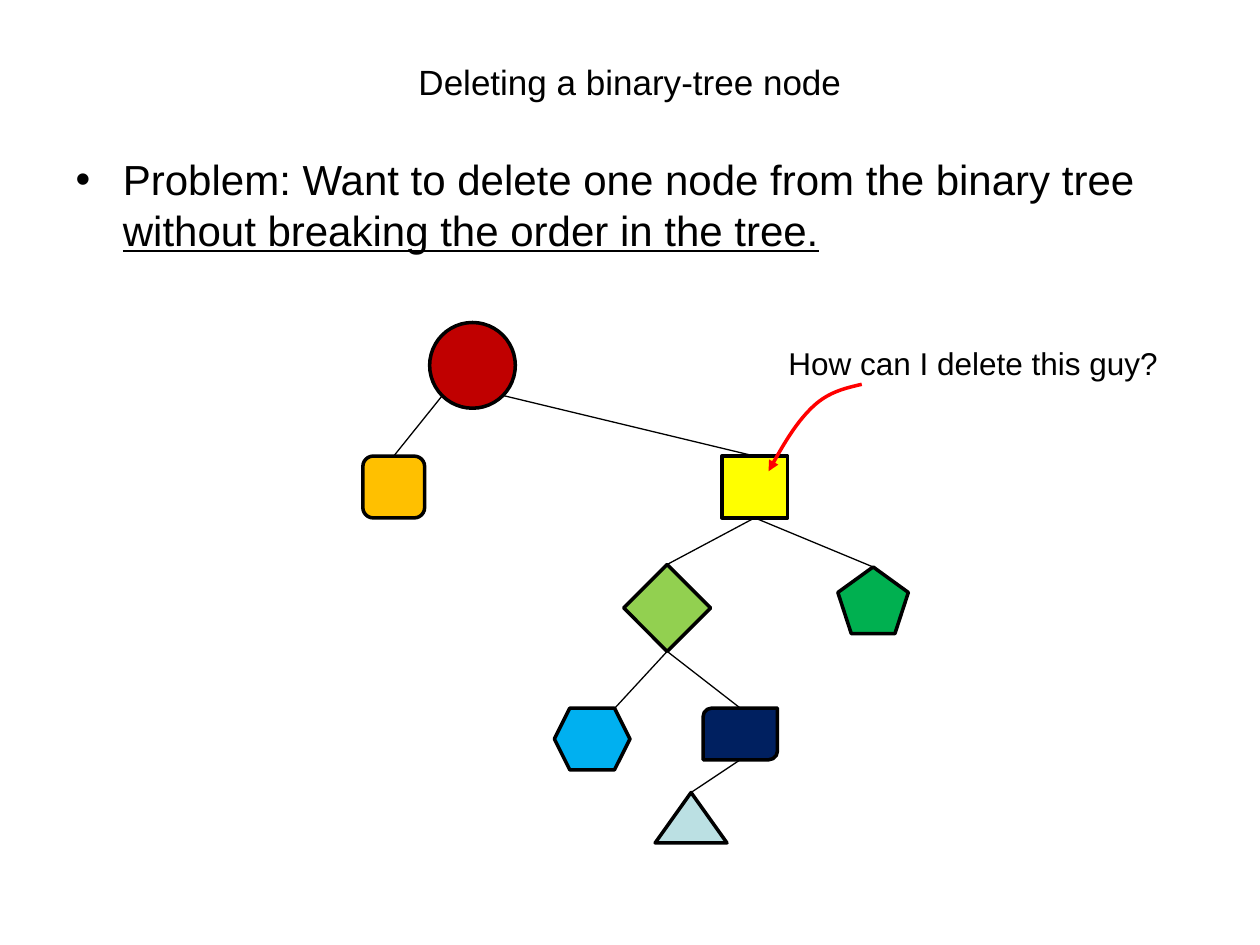
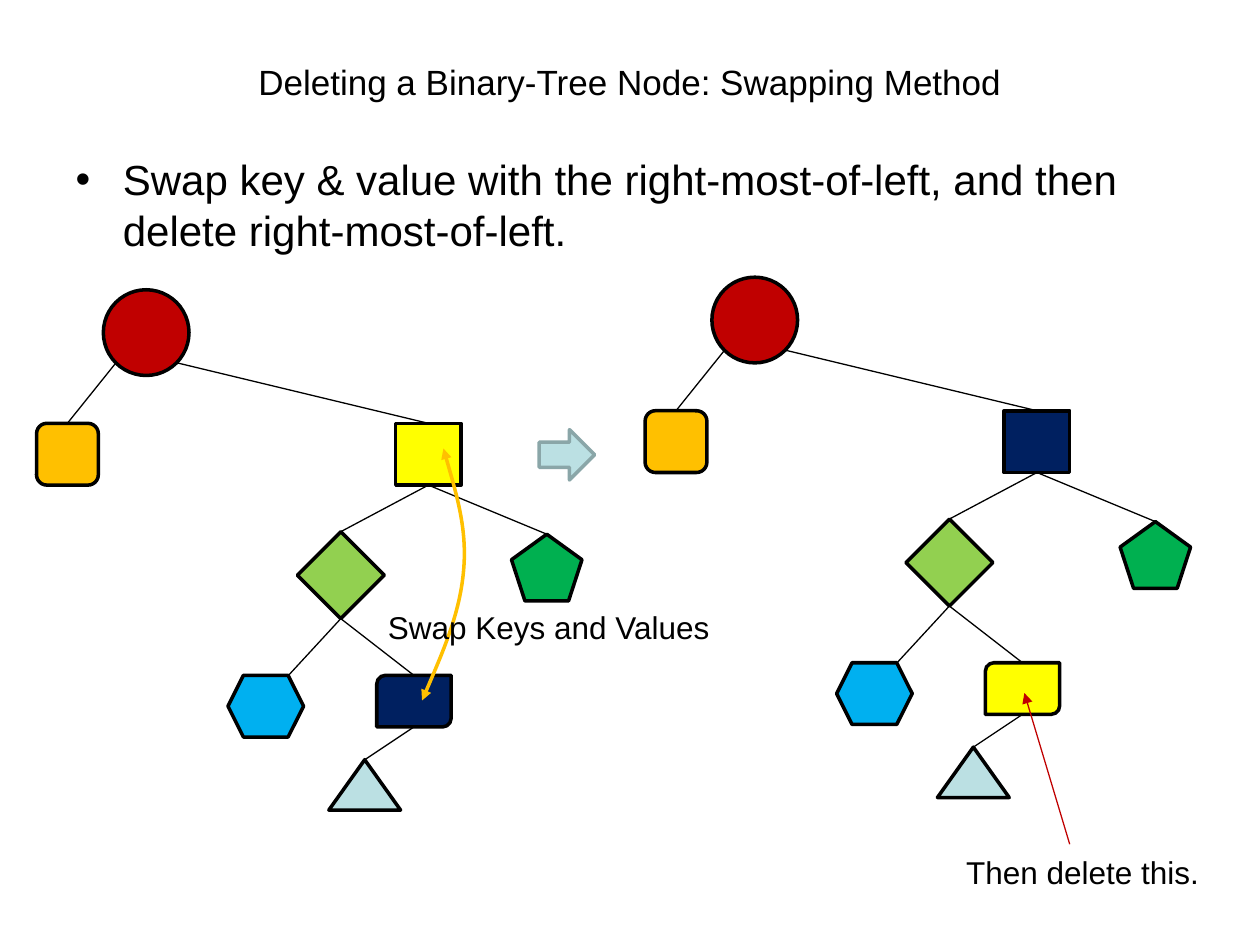
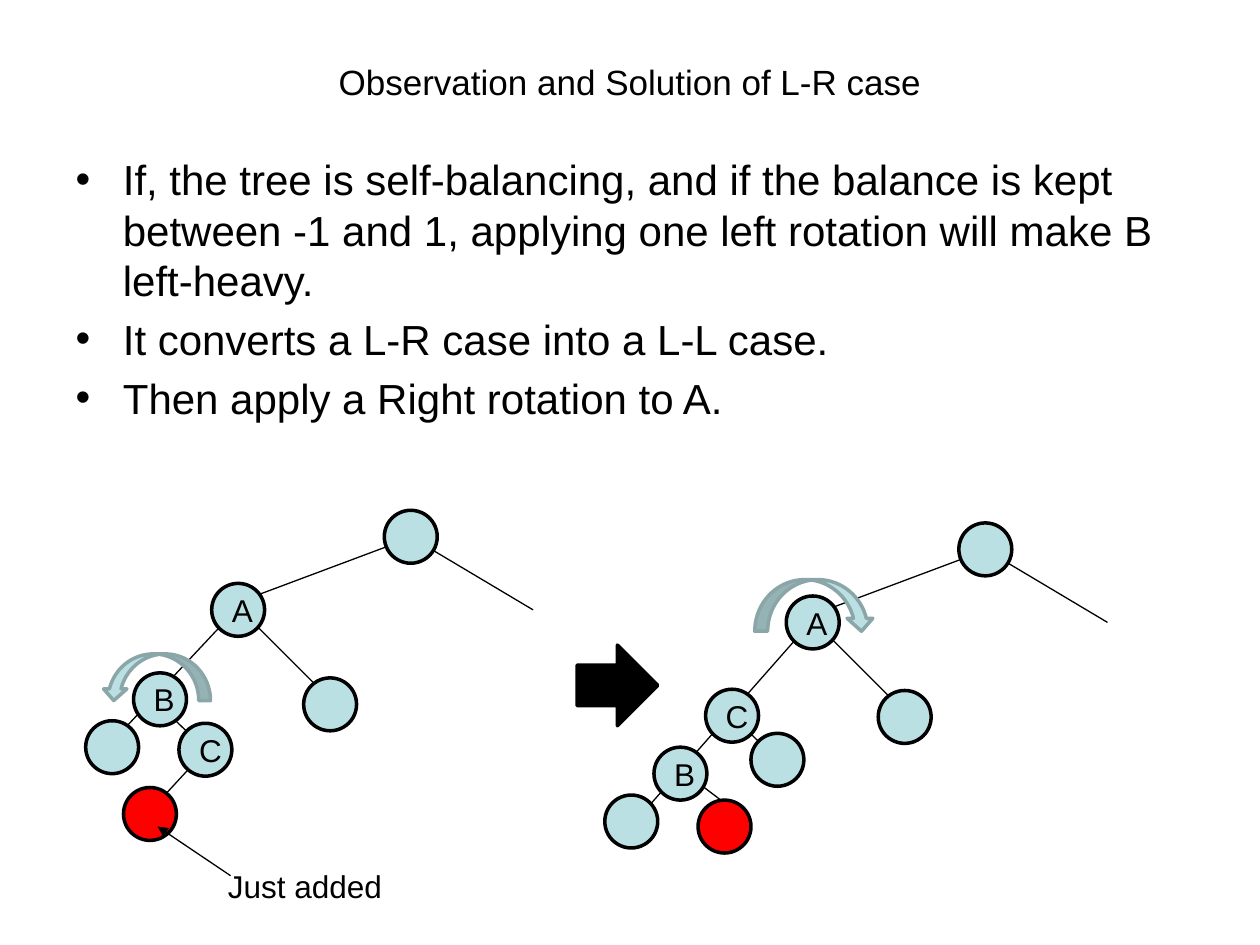
from pptx import Presentation
from pptx.dml.color import RGBColor
from pptx.enum import shapes, text
from pptx.oxml.ns import qn
from pptx.util import Inches, Pt
from lxml import etree

FONT = "Arial"
COLORS = {
    "black": "000000", "crimson": "C00000", "red": "FF0000", "orange": "FFC000",
    "yellow": "FFFF00", "lime": "92D050", "green": "00B050", "sky": "00B0F0",
    "navy": "002060", "pale": "BBE0E3", "pale_edge": "8AA6A8",
}
SHAPE = shapes.MSO_SHAPE
TOP, BOTTOM = (0.5, 0), (0.5, 1)
SITES = {TOP: 0, BOTTOM: 2}
JOINABLE = ("target", "left", "diamond", "pentagon", "triangle")

# Sorted tree: name -> preset, colour, left, top, width, height
TREE_NODES = {
    "root": (SHAPE.OVAL, "crimson", 0.53, 0, 0.68, 0.68),
    "target": (SHAPE.RECTANGLE, "yellow", 2.85, 1.06, 0.52, 0.49),
    "left": (SHAPE.ROUNDED_RECTANGLE, "orange", 0, 1.06, 0.49, 0.49),
    "diamond": (SHAPE.DIAMOND, "lime", 2.07, 1.92, 0.69, 0.69),
    "pentagon": (SHAPE.REGULAR_PENTAGON, "green", 3.77, 1.94, 0.56, 0.53),
    "hexagon": (SHAPE.HEXAGON, "sky", 1.52, 3.06, 0.6, 0.49),
    "rightmost": (SHAPE.ROUND_2_DIAG_RECTANGLE, "navy", 2.7, 3.06, 0.59, 0.41),
    "triangle": (SHAPE.ISOSCELES_TRIANGLE, "pale", 2.32, 3.73, 0.57, 0.4),
}
# Parent, point on it, child, point on it (as fractions of each node's box)
TREE_EDGES = [
    ("root", (0.15, 0.85), "left", TOP),
    ("root", (0.85, 0.85), "target", TOP),
    ("target", BOTTOM, "diamond", TOP),
    ("target", BOTTOM, "pentagon", TOP),
    ("diamond", BOTTOM, "hexagon", (0.8, 0)),
    ("diamond", BOTTOM, "rightmost", TOP),
    ("rightmost", BOTTOM, "triangle", TOP),
]

# Rotation tree: the upper part that both states share
NODE_SIZE = 0.42
UPPER_NODES = [("A", "pale", 0, 0.58), ("", "pale", 1.37, 0), ("", "pale", 0.73, 1.33)]
UPPER_EDGES = [(0.21, 0.73, 1.6, 0.21), (0.92, 1.48, 0.26, 0.82), (1.61, 0.23, 2.55, 0.79)]


def rgb(name):
    return RGBColor.from_string(COLORS[name])


def set_font(paragraph, size):
    for run in paragraph.runs:
        run.font.name, run.font.size = FONT, Pt(size)
        run.font.color.rgb = rgb("black")


def style_line(shape, color, width, ends=()):
    shape.line.color.rgb = rgb(color)
    shape.line.width = Pt(width)
    for end in ends:
        etree.SubElement(shape.line._get_or_add_ln(), qn(f"a:{end}"), type="triangle")


def add_node(slide, preset, fill, left, top, width, height, label="", edge="black"):
    shape = slide.shapes.add_shape(preset, *map(Inches, (left, top, width, height)))
    shape.shadow.inherit = False
    shape.fill.solid()
    shape.fill.fore_color.rgb = rgb(fill)
    style_line(shape, edge, 2)
    if label:
        paragraph = shape.text_frame.paragraphs[0]
        paragraph.text = label
        paragraph.alignment = text.PP_ALIGN.CENTER
        set_font(paragraph, 18)
    return shape


def add_line(slide, start_x, start_y, end_x, end_y, color="black", ends=()):
    line = slide.shapes.add_connector(
        shapes.MSO_CONNECTOR.STRAIGHT, *map(Inches, (start_x, start_y, end_x, end_y)))
    style_line(line, color, 0.75, ends)
    etree.SubElement(line._element.spPr, qn("a:effectLst"))
    return line


def add_curve(slide, points, color, ends):
    """Draw a Bezier curve: a start, then three points for each segment."""
    points = [(Inches(x), Inches(y)) for x, y in points]
    builder = slide.shapes.build_freeform(*points[0])
    builder.add_line_segments(points[1:], close=False)
    curve = builder.convert_to_shape()
    curve.shadow.inherit = False
    curve.fill.background()
    style_line(curve, color, 2, ends)
    segments = list(curve._element.iter(qn("a:lnTo")))
    outline = segments[0].getparent()
    for first in range(0, len(segments), 3):
        bezier = etree.SubElement(outline, qn("a:cubicBezTo"))
        for segment in segments[first:first + 3]:
            bezier.append(segment[0])
            outline.remove(segment)


def add_label(slide, words, left, top, width):
    frame = slide.shapes.add_textbox(*map(Inches, (left, top, width, 0.4))).text_frame
    frame.word_wrap = False
    frame.auto_size = text.MSO_AUTO_SIZE.SHAPE_TO_FIT_TEXT
    frame.text = words
    set_font(frame.paragraphs[0], 18)


def add_slide(presentation, title, bullets):
    """Add a slide with its title and list; a bullet is a list of runs."""
    slide = presentation.slides.add_slide(presentation.slide_layouts[1])
    heading, body = slide.placeholders
    for shape, top, height in ((heading, 0.3, 0.7), (body, 1.17, 5.53)):
        shape.left, shape.top = Inches(0.5), Inches(top)
        shape.width, shape.height = Inches(9), Inches(height)
        shape.text_frame.auto_size = text.MSO_AUTO_SIZE.NONE
    heading.text_frame.text = title
    heading.text_frame.vertical_anchor = text.MSO_ANCHOR.MIDDLE
    set_font(heading.text_frame.paragraphs[0], 20)
    frame = body.text_frame
    for index, runs in enumerate(bullets):
        paragraph = frame.add_paragraph() if index else frame.paragraphs[0]
        for words in runs:
            paragraph.add_run().text = words
        set_font(paragraph, 24)
        if not index:
            paragraph.space_before = Pt(0)
    return slide


def add_sorted_tree(slide, left, top, recolor=None):
    recolor = recolor or {}
    nodes = {}
    for name, (preset, fill, x, y, width, height) in TREE_NODES.items():
        nodes[name] = add_node(slide, preset, recolor.get(name, fill),
                               left + x, top + y, width, height)

    def point(name, anchor):
        x, y, width, height = TREE_NODES[name][2:]
        return left + x + anchor[0] * width, top + y + anchor[1] * height

    for parent, parent_anchor, child, child_anchor in TREE_EDGES:
        line = add_line(slide, *point(parent, parent_anchor), *point(child, child_anchor))
        if parent in JOINABLE:
            line.begin_connect(nodes[parent], SITES[parent_anchor])
        if child in JOINABLE:
            line.end_connect(nodes[child], SITES[child_anchor])


def add_rotation_tree(slide, left, top, lower_nodes, lower_edges):
    for start_x, start_y, end_x, end_y in UPPER_EDGES + lower_edges:
        add_line(slide, left + start_x, top + start_y, left + end_x, top + end_y)
    for label, fill, x, y in UPPER_NODES + lower_nodes:
        add_node(slide, SHAPE.OVAL, fill, left + x, top + y, NODE_SIZE, NODE_SIZE, label)


def build_problem(presentation):
    slide = add_slide(presentation, "Deleting a binary-tree node", [
        ["Problem: Want to delete one node from the binary tree ",
         "without breaking the order in the tree."]])
    slide.placeholders[1].text_frame.paragraphs[0].runs[1].font.underline = True
    add_sorted_tree(slide, 2.88, 2.56)
    add_curve(slide, [(6.84, 3.05), (6.71, 3.08), (6.58, 3.11), (6.46, 3.22),
                      (6.33, 3.34), (6.21, 3.54), (6.1, 3.74)], "red", ["tailEnd"])
    add_label(slide, "How can I delete this guy?", 6.16, 2.68, 3.16)


def build_swapping(presentation):
    slide = add_slide(presentation, "Deleting a Binary-Tree Node: Swapping Method", [
        ["Swap key & value with the right-most-of-left, and then delete right-most-of-left."]])
    add_node(slide, SHAPE.RIGHT_ARROW, "pale", 4.28, 3.41, 0.44, 0.4, edge="pale_edge")
    # Before the swap
    add_sorted_tree(slide, 0.29, 2.3)
    add_curve(slide, [(3.52, 3.56), (3.61, 3.88), (3.71, 4.2), (3.68, 4.53),
                      (3.65, 4.87), (3.5, 5.21), (3.35, 5.56)],
              "orange", ["headEnd", "tailEnd"])
    add_label(slide, "Swap Keys and Values", 2.98, 4.78, 2.78)
    # After the swap
    add_sorted_tree(slide, 5.12, 2.2, {"target": "navy", "rightmost": "yellow"})
    add_line(slide, 8.49, 6.7, 8.13, 5.5, "crimson", ["tailEnd"])
    add_label(slide, "Then delete this.", 7.57, 6.72, 2.07)


def build_rotation(presentation):
    slide = add_slide(presentation, "Observation and Solution of L-R case", [
        ["If, the tree is self-balancing, and if the balance is kept between -1 and 1, "
         "applying one left rotation will make B left-heavy."],
        ["It converts a L-R case into a L-L case."],
        ["Then apply a Right rotation to A."]])
    # L-R case
    add_rotation_tree(
        slide, 1.68, 4.05,
        [("", "red", -0.7, 2.2), ("", "pale", -1, 1.67),
         ("B", "pale", -0.62, 1.29), ("C", "pale", -0.26, 1.69)],
        [(-0.4, 2.29, -0.04, 1.9), (0.22, 0.76, -0.83, 1.88), (-0.42, 1.54, -0.1, 1.85)])
    left_turn = add_node(slide, SHAPE.CURVED_UP_ARROW, "pale", 0.81, 5.19, 0.86, 0.37,
                         edge="pale_edge")
    left_turn.rotation = 180
    add_node(slide, SHAPE.RIGHT_ARROW, "black", 4.58, 5.12, 0.64, 0.64)
    # L-L case
    add_rotation_tree(
        slide, 6.24, 4.15,
        [("", "red", -0.7, 2.2), ("", "pale", -1.44, 2.16), ("B", "pale", -1.05, 1.78),
         ("C", "pale", -0.64, 1.32), ("", "pale", -0.28, 1.67)],
        [(-0.4, 2.29, -0.77, 2.01), (0.22, 0.76, -1.19, 2.36), (-0.42, 1.54, -0.1, 1.85)])
    add_node(slide, SHAPE.CURVED_DOWN_ARROW, "pale", 5.99, 4.6, 0.95, 0.41,
             edge="pale_edge")
    # Newly added node
    add_line(slide, 1.83, 6.95, 1.25, 6.56, ends=["tailEnd"])
    add_label(slide, "Just added", 1.71, 6.83, 1.44)


def main():
    presentation = Presentation()
    presentation.slide_width, presentation.slide_height = Inches(10), Inches(7.5)
    build_problem(presentation)
    build_swapping(presentation)
    build_rotation(presentation)
    presentation.save("out.pptx")


if __name__ == "__main__":
    main()
